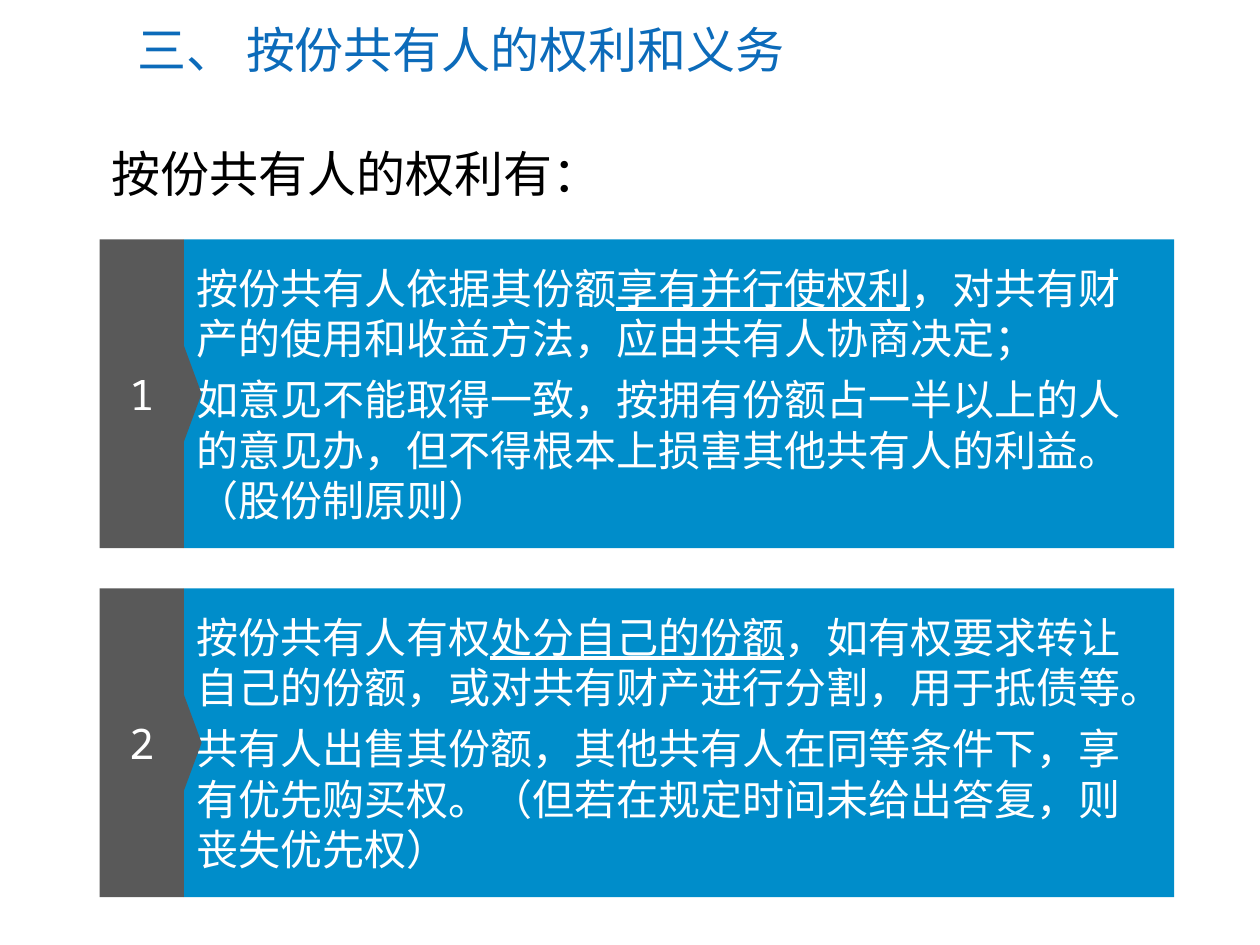
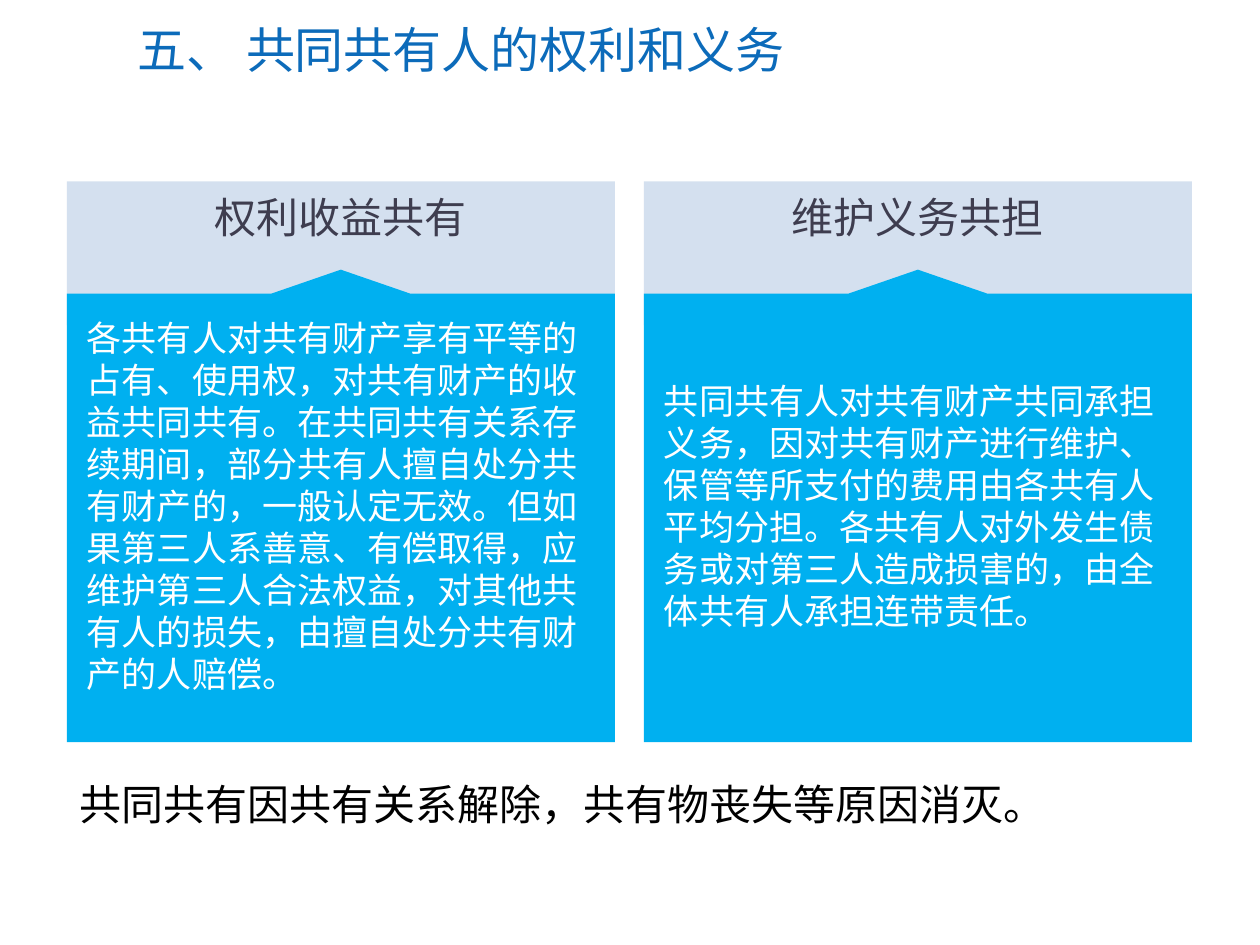
from lxml.etree import SubElement
from pptx import Presentation
from pptx.dml.color import RGBColor
from pptx.enum.shapes import MSO_SHAPE as Shape
from pptx.enum.text import MSO_ANCHOR as Anchor, PP_ALIGN as Align
from pptx.oxml.ns import qn
from pptx.util import Inches, Pt

TITLES = ["三、 按份共有人的权利和义务", "五、 共同共有人的权利和义务"]
LEAD = "按份共有人的权利有："
RIGHTS = [
    [[("按份共有人依据其份额", False), ("享有并行使权利", True),
      ("，对共有财产的使用和收益方法，应由共有人协商决定；", False)],
     [("如意见不能取得一致，按拥有份额占一半以上的人的意见办，"
       "但不得根本上损害其他共有人的利益。（股份制原则）", False)]],
    [[("按份共有人有权", False), ("处分自己的份额", True),
      ("，如有权要求转让自己的份额，或对共有财产进行分割，用于抵债等。", False)],
     [("共有人出售其份额，其他共有人在同等条件下，享有优先购买权。"
       "（但若在规定时间未给出答复，则丧失优先权）", False)]],
]
SHARED = [
    ("权利收益共有",
     "各共有人对共有财产享有平等的占有、使用权，对共有财产的收益共同共有。"
     "在共同共有关系存续期间，部分共有人擅自处分共有财产的，一般认定无效。"
     "但如果第三人系善意、有偿取得，应维护第三人合法权益，对其他共有人的损失，"
     "由擅自处分共有财产的人赔偿。"),
    ("维护义务共担",
     "共同共有人对共有财产共同承担义务，因对共有财产进行维护、保管等所支付的费用"
     "由各共有人平均分担。各共有人对外发生债务或对第三人造成损害的，"
     "由全体共有人承担连带责任。"),
]
CLOSING = "共同共有因共有关系解除，共有物丧失等原因消灭。"

COLORS = {"title": "0C6BBA", "card": "008DCA", "number": "595959", "header": "95B3D7",
          "panel": "00B0F0", "heading": "3E3D4F", "white": "FFFFFF", "black": "000000"}
BODY, CJK, MONO = "Calibri", "Noto Sans CJK SC", "Noto Sans Mono"

LEFT, CARD_TOP, CARD_H, CARD_GAP = 0.79, 1.9, 2.45, 0.32
NUMBER_W, CARD_W = 0.67, 7.86
ARROW_W, ARROW_H = 0.76, 0.14
COL_LEFT, COL_TOP, COL_W, COL_GAP = 0.53, 1.44, 4.35, 0.23
HEADER_H, PANEL_TOP, PANEL_BOTTOM = 1.14, 2.33, 5.89
PEAK_H, PEAK_HALF = 0.19, 0.55


def paint(sp, color, alpha=None):
    """Give a shape a plain fill with no line or shadow."""
    sp.shadow.inherit = False
    sp.line.fill.background()
    sp.fill.solid()
    sp.fill.fore_color.rgb = RGBColor.from_string(COLORS[color])
    if alpha:
        clr = sp._element.spPr.find(qn("a:solidFill"))[0]
        SubElement(clr, qn("a:alpha"), val=str(alpha * 1000))


def write(sp, paragraphs, size, color, font=BODY, align=Align.LEFT,
          anchor=Anchor.MIDDLE, side=0.1, spacing=None):
    """Fill a shape with paragraphs made of (text, underlined) runs."""
    tf = sp.text_frame
    tf.word_wrap, tf.vertical_anchor = True, anchor
    tf.margin_left = tf.margin_right = Inches(side)
    tf.margin_top = tf.margin_bottom = Inches(0.05)
    for i, runs in enumerate(paragraphs):
        p = tf.add_paragraph() if i else tf.paragraphs[0]
        p.alignment = align
        if i:
            p.space_before = Pt(6)
        if spacing:
            p.line_spacing = spacing
        for text, underlined in runs:
            r = p.add_run()
            r.text = text
            r.font.size, r.font.name = Pt(size), font
            r.font.color.rgb = RGBColor.from_string(COLORS[color])
            if underlined:
                r.font.underline = True
            SubElement(r._r.get_or_add_rPr(), qn("a:ea"), typeface=font)


def add_block(shapes, kind, box, color, alpha=None):
    """Add a painted preset shape."""
    sp = shapes.add_shape(kind, *map(Inches, box))
    paint(sp, color, alpha)
    return sp


def add_label(shapes, text, box, size, color, font=CJK, **style):
    """Add a one-paragraph text box."""
    sp = shapes.add_textbox(*map(Inches, box))
    write(sp, [[(text, False)]], size, color, font, **style)


def add_slide(prs, title):
    """Add a blank slide with the shared title."""
    s = prs.slides.add_slide(prs.slide_layouts[6])
    add_label(s.shapes, title, (0.99, 0.1, 8.72, 0.58), 28, "title", BODY)
    return s


def add_card(s, index, paragraphs):
    """Add a numbered card with an arrow pointing at its text."""
    shapes = s.shapes.add_group_shape().shapes
    top = CARD_TOP + index * (CARD_H + CARD_GAP)
    edge = LEFT + NUMBER_W
    card = add_block(shapes, Shape.RECTANGLE, (edge, top, CARD_W, CARD_H), "card")
    write(card, paragraphs, 24, "white")
    number = add_block(shapes, Shape.RECTANGLE, (LEFT, top, NUMBER_W, CARD_H), "number")
    write(number, [[(str(index + 1), False)]], 24, "white", MONO, Align.CENTER)
    arrow = add_block(shapes, Shape.ISOSCELES_TRIANGLE,
                      (edge + (ARROW_H - ARROW_W) / 2, top + (CARD_H - ARROW_H) / 2,
                       ARROW_W, ARROW_H), "number")
    arrow.rotation = 90


def add_column(s, index, heading, body):
    """Add a heading band with a peaked panel below it."""
    shapes = s.shapes.add_group_shape().shapes
    left = COL_LEFT + index * (COL_W + COL_GAP)
    right, middle = left + COL_W, left + COL_W / 2
    add_block(shapes, Shape.RECTANGLE, (left, COL_TOP, COL_W, HEADER_H), "header", 40)
    outline = [(middle, PANEL_TOP - PEAK_H), (middle + PEAK_HALF, PANEL_TOP),
               (right, PANEL_TOP), (right, PANEL_BOTTOM), (left, PANEL_BOTTOM),
               (left, PANEL_TOP), (middle - PEAK_HALF, PANEL_TOP)]
    points = [(Inches(x), Inches(y)) for x, y in outline]
    builder = shapes.build_freeform(*points[0])
    builder.add_line_segments(points[1:], close=True)
    panel = builder.convert_to_shape()
    paint(panel, "panel")
    write(panel, [[(body, False)]], 20, "white", side=0.16)
    add_label(shapes, heading, (left, 1.47, COL_W, 0.5), 24, "heading",
              align=Align.CENTER, anchor=Anchor.TOP)


def main():
    """Build both slides and save them."""
    prs = Presentation()
    prs.slide_width, prs.slide_height = Inches(10), Inches(7.5)

    s = add_slide(prs, TITLES[0])
    add_label(s.shapes, LEAD, (LEFT, 0.93, 8.34, 0.8), 28, "black",
              anchor=Anchor.TOP, spacing=1.35)
    for i, paragraphs in enumerate(RIGHTS):
        add_card(s, i, paragraphs)

    s = add_slide(prs, TITLES[1])
    for i, (heading, body) in enumerate(SHARED):
        add_column(s, i, heading, body)
    add_label(s.shapes, CLOSING, (COL_LEFT, 6.13, 2 * COL_W + COL_GAP, 0.5), 24, "black",
              anchor=Anchor.TOP)

    prs.save("out.pptx")


if __name__ == "__main__":
    main()
